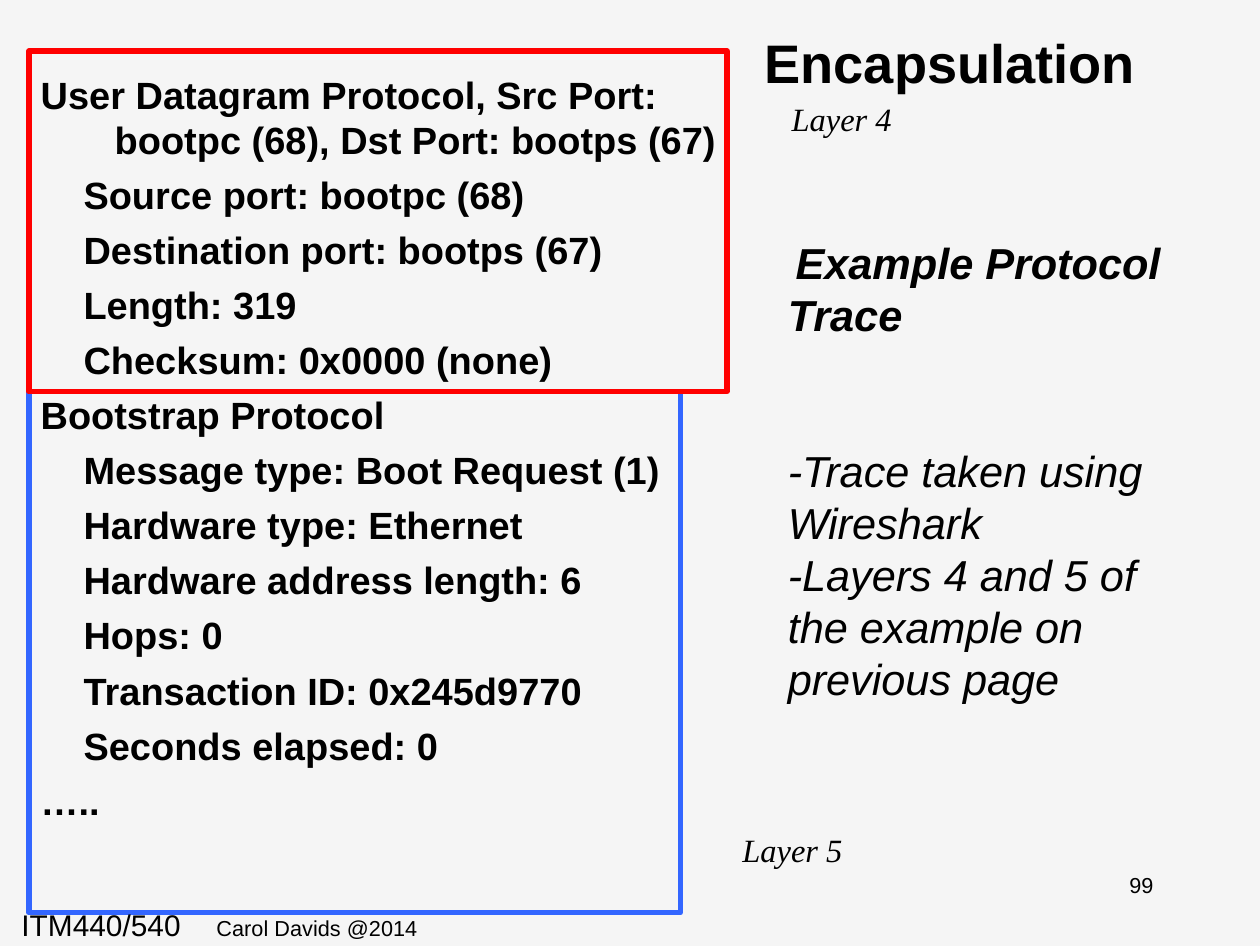
from lxml.etree import SubElement
from pptx import Presentation
from pptx.dml.color import RGBColor
from pptx.enum.shapes import MSO_SHAPE as Preset
from pptx.enum.text import MSO_ANCHOR as Anchor, MSO_AUTO_SIZE as AutoSize, PP_ALIGN as Align
from pptx.oxml.ns import qn
from pptx.util import Inches, Pt

BLACK = RGBColor(0x00, 0x00, 0x00)
PAPER = RGBColor(0xF5, 0xF5, 0xF5)
RED = RGBColor(0xFF, 0x00, 0x00)
BLUE = RGBColor(0x33, 0x66, 0xFF)
SANS, SERIF = "Arial", "Times New Roman"

UDP_FIELDS = [
    "Source port: bootpc (68)",
    "Destination port: bootps (67)",
    "Length: 319",
    "Checksum: 0x0000 (none)",
]
BOOTSTRAP_FIELDS = [
    "Message type: Boot Request (1)",
    "Hardware type: Ethernet",
    "Hardware address length: 6",
    "Hops: 0",
    "Transaction ID: 0x245d9770",
    "Seconds elapsed: 0",
]


class SlideBuilder:
    """Places styled elements on a slide by a grid of 100 columns and 100 rows."""

    def __init__(self, presentation):
        self.column = presentation.slide_width / 100
        self.row = presentation.slide_height / 100
        self.slide = presentation.slides.add_slide(presentation.slide_layouts[1])
        self.slide.background.fill.solid()
        self.slide.background.fill.fore_color.rgb = PAPER

    def cell(self, left, top, width, height):
        return (round(left * self.column), round(top * self.row),
                round(width * self.column), round(height * self.row))

    def frame(self, shape, anchor, inset_x=0.06, inset_y=0.03):
        frame = shape.text_frame
        frame.word_wrap = True
        frame.auto_size = AutoSize.NONE
        frame.vertical_anchor = anchor
        frame.margin_left = frame.margin_right = Inches(inset_x)
        frame.margin_top = frame.margin_bottom = Inches(inset_y)
        return frame

    def text_box(self, *area, anchor=Anchor.MIDDLE, **insets):
        return self.frame(self.slide.shapes.add_textbox(*self.cell(*area)), anchor, **insets)

    def placeholder(self, index, *area, anchor=Anchor.TOP):
        shape = self.slide.placeholders[index]
        shape.left, shape.top, shape.width, shape.height = self.cell(*area)
        return self.frame(shape, anchor)

    def paragraph(self, frame, align=Align.LEFT, before=0, spacing=1.0,
                  margin=0, indent=0, tab=None):
        first = frame.paragraphs[0]
        paragraph = frame.add_paragraph() if first.runs else first
        paragraph.alignment = align
        paragraph.space_before = Pt(before)
        paragraph.line_spacing = spacing
        properties = paragraph._p.get_or_add_pPr()
        properties.set("marL", str(Inches(margin)))
        properties.set("indent", str(Inches(indent)))
        SubElement(properties, qn("a:buNone"))
        if tab:
            stops = SubElement(properties, qn("a:tabLst"))
            SubElement(stops, qn("a:tab"), pos=str(Inches(tab)), algn="l")
        return paragraph

    def run(self, paragraph, text, size, font=SANS, bold=False, italic=False):
        run = paragraph.add_run()
        run.text = text
        run.font.name, run.font.size = font, Pt(size)
        run.font.bold, run.font.italic = bold, italic
        run.font.color.rgb = BLACK

    def outline(self, color, *area):
        shape = self.slide.shapes.add_shape(Preset.RECTANGLE, *self.cell(*area))
        shape.shadow.inherit = False
        shape.fill.background()
        shape.line.color.rgb = color
        shape.line.width = Pt(2)

    def label(self, text, *area):
        self.run(self.paragraph(self.text_box(*area)), text, 12, SERIF, italic=True)

    def packet(self, frame):
        entries = [("User Datagram Protocol, Src Port: bootpc (68), Dst Port: bootps (67)", 0)]
        entries += [(field, 1) for field in UDP_FIELDS]
        entries += [("Bootstrap Protocol", 0)]
        entries += [(field, 1) for field in BOOTSTRAP_FIELDS]
        entries += [("…..", 0)]
        for position, (text, level) in enumerate(entries):
            margin, indent = (0.22, 0) if level else (0.38, -0.38)
            paragraph = self.paragraph(frame, before=3.7 if position else 0,
                                       spacing=Pt(16.6), margin=margin, indent=indent)
            self.run(paragraph, text, 14, bold=True)

    def trace_note(self, frame):
        lines = [
            ("Example Protocol Trace", True, 0, 0.04),
            ("-Trace taken using Wireshark", False, 38.4, 0),
            ("-Layers 4 and 5 of the example on previous page", False, 0, 0),
        ]
        for text, bold, before, indent in lines:
            paragraph = self.paragraph(frame, before=before, spacing=Pt(19.2), indent=indent)
            self.run(paragraph, text, 16, bold=bold, italic=True)


def main():
    presentation = Presentation()
    presentation.slide_width, presentation.slide_height = Inches(6.46), Inches(4.85)
    builder = SlideBuilder(presentation)

    title = builder.placeholder(0, 55.4, 0.4, 40, 12.2, anchor=Anchor.MIDDLE)
    builder.run(builder.paragraph(title, Align.CENTER), "Encapsulation", 20, bold=True)
    builder.packet(builder.placeholder(1, 2.3, 7, 56.7, 87))
    builder.trace_note(builder.text_box(61.6, 13.4, 34.2, 72.6))

    builder.outline(BLUE, 2.3, 41.4, 51.7, 55.1)
    builder.outline(RED, 2.3, 5.4, 55.4, 36)
    builder.label("Layer 4", 61.9, 10.3, 11.6, 4.5)
    builder.label("Layer 5", 58, 87.6, 11.8, 4.5)

    footer = builder.text_box(0, 94.8, 77.1, 5.2, anchor=Anchor.TOP, inset_x=0.11, inset_y=0.05)
    credit = builder.paragraph(footer, tab=2)
    builder.run(credit, "ITM440/540\t", 11)
    builder.run(credit, "Carol Davids @2014", 8)
    number = builder.text_box(82.8, 91.5, 15.6, 6.6, anchor=Anchor.TOP)
    builder.run(builder.paragraph(number, Align.CENTER), "99", 8)

    presentation.save("out.pptx")


if __name__ == "__main__":
    main()
